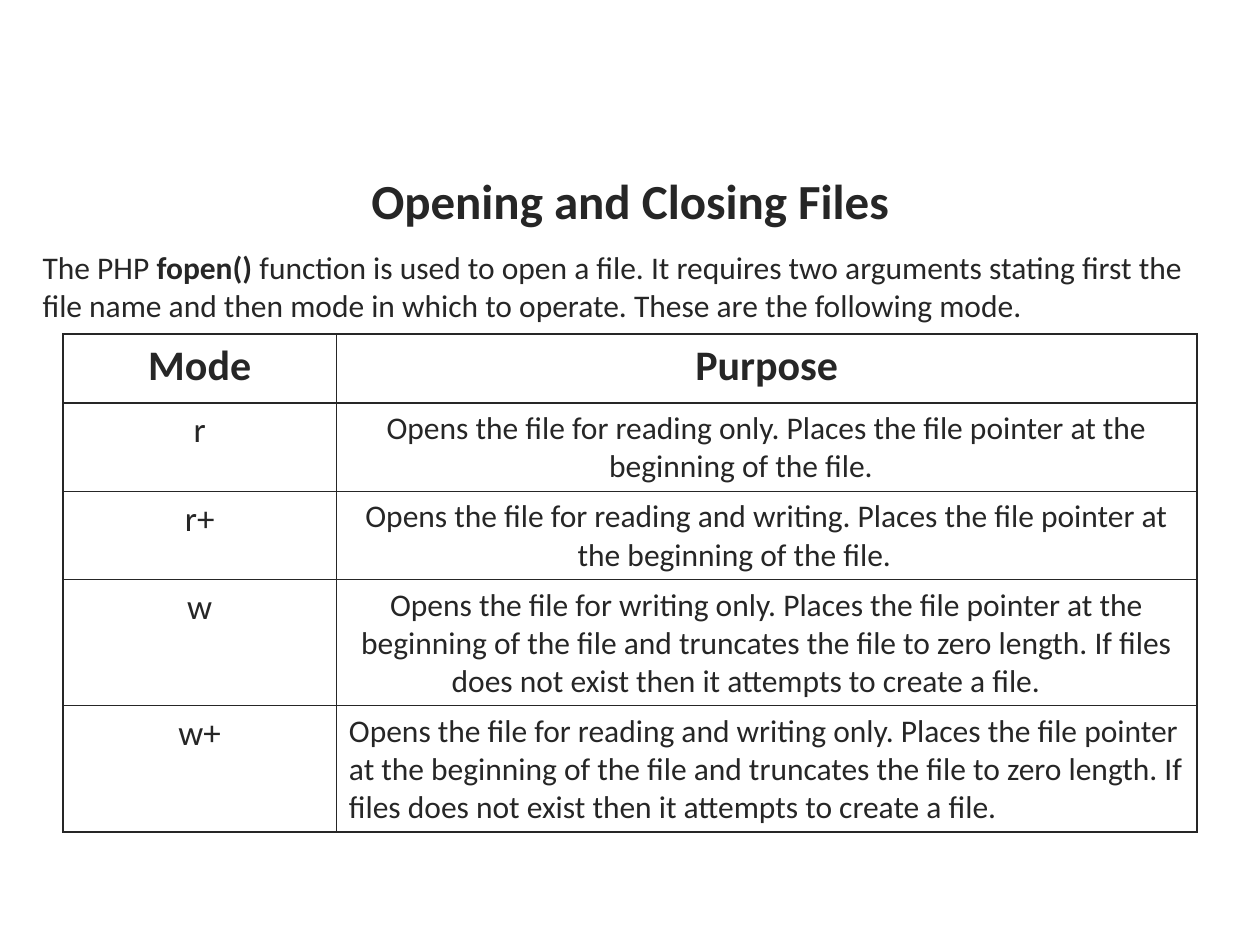
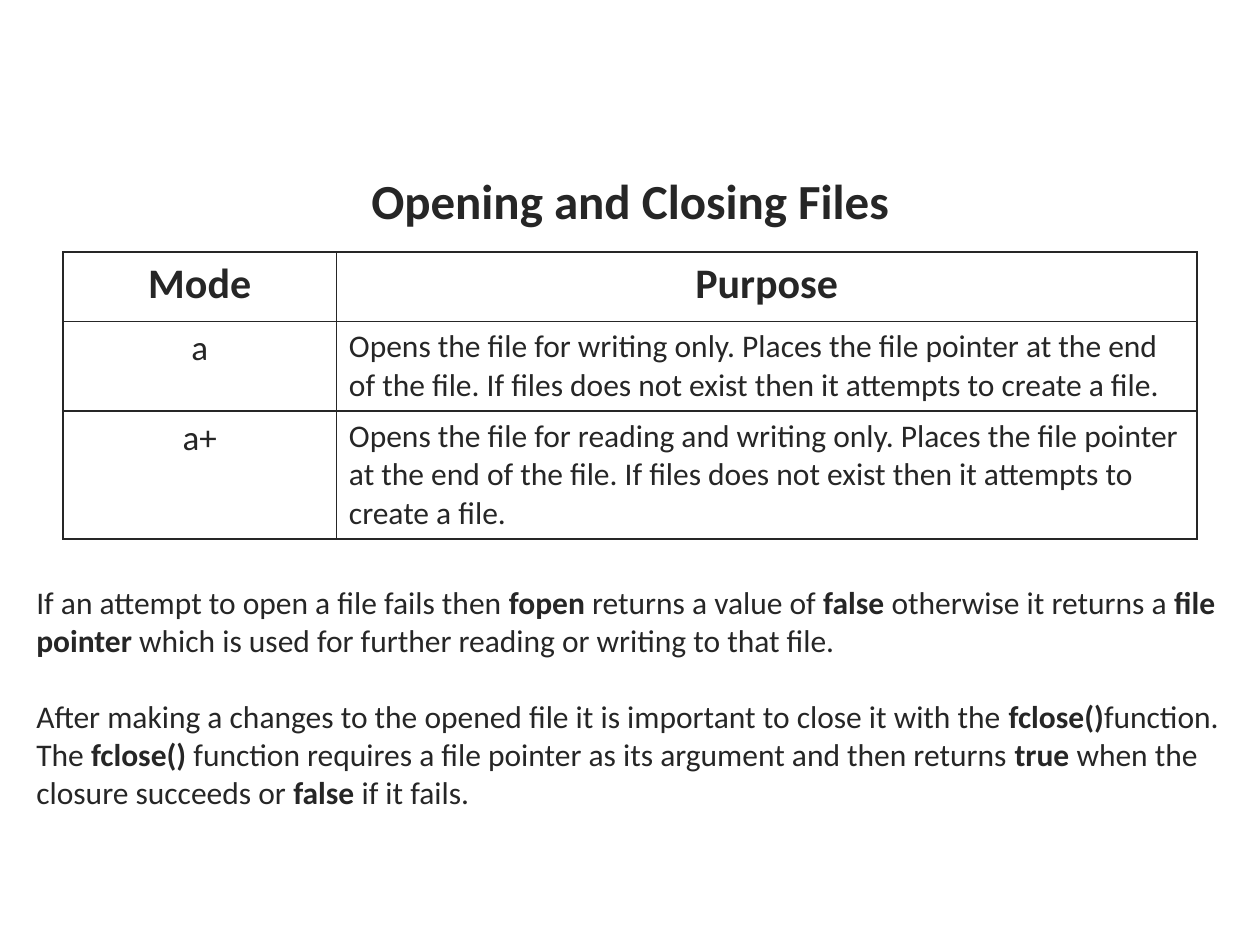
from lxml import etree
from pptx import Presentation
from pptx.dml.color import RGBColor
from pptx.enum import text
from pptx.oxml.ns import qn
from pptx.util import Inches, Pt

FONT = "Calibri"
INK = "262626"
TITLE = "Opening and Closing Files"
BODY_SIZE, MODE_SIZE, HEAD_SIZE, TITLE_SIZE = 18, 20, 24, 28
MARGIN, CONTENT_WIDTH, MODE_WIDTH = 0.5, 9, 2.17
HEAD_HEIGHT, LINE_HEIGHT, CELL_PADDING = 0.55, 0.3, 0.1
CENTER, LEFT = text.PP_ALIGN.CENTER, text.PP_ALIGN.LEFT


def rgb(color):
    return RGBColor.from_string(color)


def write(frame, *paragraphs, size=BODY_SIZE, bold=False, align=LEFT, gap=0):
    """Fill a text frame; words between ** marks switch boldness."""
    frame.word_wrap = True
    for index, content in enumerate(paragraphs):
        paragraph = frame.paragraphs[0] if index == 0 else frame.add_paragraph()
        paragraph.alignment = align
        if index:
            paragraph.space_before = Pt(gap)
        for part, words in enumerate(content.split("**")):
            if not words:
                continue
            run = paragraph.add_run()
            run.text = words
            run.font.name = FONT
            run.font.size = Pt(size)
            run.font.bold = bold != (part % 2 == 1)
            run.font.color.rgb = rgb(INK)


def add_titled_slide(deck):
    slide = deck.slides.add_slide(deck.slide_layouts[5])
    title = slide.shapes.title
    title.left, title.top = Inches(MARGIN), Inches(1.24)
    title.width, title.height = Inches(CONTENT_WIDTH), Inches(0.7)
    frame = title.text_frame
    frame.auto_size = text.MSO_AUTO_SIZE.NONE
    frame.vertical_anchor = text.MSO_ANCHOR.MIDDLE
    write(frame, TITLE, size=TITLE_SIZE, bold=True, align=CENTER)
    return slide


def add_prose(slide, left, top, width, height, *paragraphs):
    box = slide.shapes.add_textbox(*map(Inches, (left, top, width, height)))
    write(box.text_frame, *paragraphs, gap=BODY_SIZE * 1.22)


def outline(cell):
    properties = cell._tc.get_or_add_tcPr()
    for side in ("lnL", "lnR", "lnT", "lnB"):
        line = etree.SubElement(properties, qn(f"a:{side}"), w=str(Pt(1)))
        fill = etree.SubElement(line, qn("a:solidFill"))
        etree.SubElement(fill, qn("a:srgbClr"), val=INK)
    cell.fill.background()


def add_mode_table(slide, top, modes):
    """Draw rows of (mode, purpose, number of lines, alignment)."""
    heights = [HEAD_HEIGHT] + [lines * LINE_HEIGHT + CELL_PADDING
                               for _, _, lines, _ in modes]
    table = slide.shapes.add_table(
        len(heights), 2, Inches(MARGIN), Inches(top),
        Inches(CONTENT_WIDTH), Inches(sum(heights))).table
    table.first_row = table.horz_banding = False
    table.columns[0].width = Inches(MODE_WIDTH)
    table.columns[1].width = Inches(CONTENT_WIDTH - MODE_WIDTH)
    for row, height in zip(table.rows, heights):
        row.height = Inches(height)
        for cell in row.cells:
            outline(cell)

    for column, heading in enumerate(("Mode", "Purpose")):
        write(table.cell(0, column).text_frame, heading,
              size=HEAD_SIZE, bold=True, align=CENTER)
    for row, (mode, purpose, _, align) in enumerate(modes, start=1):
        # A closing tab sets the last centred line to the left.
        ending = " \t" if align == CENTER else ""
        write(table.cell(row, 0).text_frame, mode, size=MODE_SIZE, align=CENTER)
        write(table.cell(row, 1).text_frame, purpose + ending, align=align)


def add_opening_slide(deck):
    slide = add_titled_slide(deck)
    add_prose(
        slide, 0.24, 1.92, 9.5, 0.71,
        "The PHP **fopen() **function is used to open a file. It requires two "
        "arguments stating first the file name and then mode in which to "
        "operate. These are the following mode.")
    add_mode_table(slide, 2.65, [
        ("r", "Opens the file for reading only. Places the file pointer at "
              "the beginning of the file.", 2, CENTER),
        ("r+", "Opens the file for reading and writing. Places the file "
               "pointer at the beginning of the file.", 2, CENTER),
        ("w", "Opens the file for writing only. Places the file pointer at "
              "the beginning of the file and truncates the file to zero "
              "length. If files does not exist then it attempts to create a "
              "file.", 3, CENTER),
        ("w+", "Opens the file for reading and writing only. Places the file "
               "pointer at the beginning of the file and truncates the file "
               "to zero length. If files does not exist then it attempts to "
               "create a file.", 3, LEFT),
    ])


def add_closing_slide(deck):
    slide = add_titled_slide(deck)
    add_mode_table(slide, 2, [
        ("a", "Opens the file for writing only. Places the file pointer at "
              "the end of the file. If files does not exist then it attempts "
              "to create a file.", 2, LEFT),
        ("a+", "Opens the file for reading and writing only. Places the file "
               "pointer at the end of the file. If files does not exist then "
               "it attempts to create a file.", 3, LEFT),
    ])
    add_prose(
        slide, 0.19, 4.58, 9.67, 1.92,
        "If an attempt to open a file fails then **fopen **returns a value of "
        "**false **otherwise it returns a **file pointer **which is used for "
        "further reading or writing to that file.",
        "After making a changes to the opened file it is important to close "
        "it with the **fclose()**function. The **fclose() **function requires "
        "a file pointer as its argument and then returns **true **when the "
        "closure succeeds or **false **if it fails.")


def main():
    deck = Presentation()
    deck.slide_width, deck.slide_height = Inches(10), Inches(7.5)
    add_opening_slide(deck)
    add_closing_slide(deck)
    deck.save("out.pptx")


if __name__ == "__main__":
    main()
